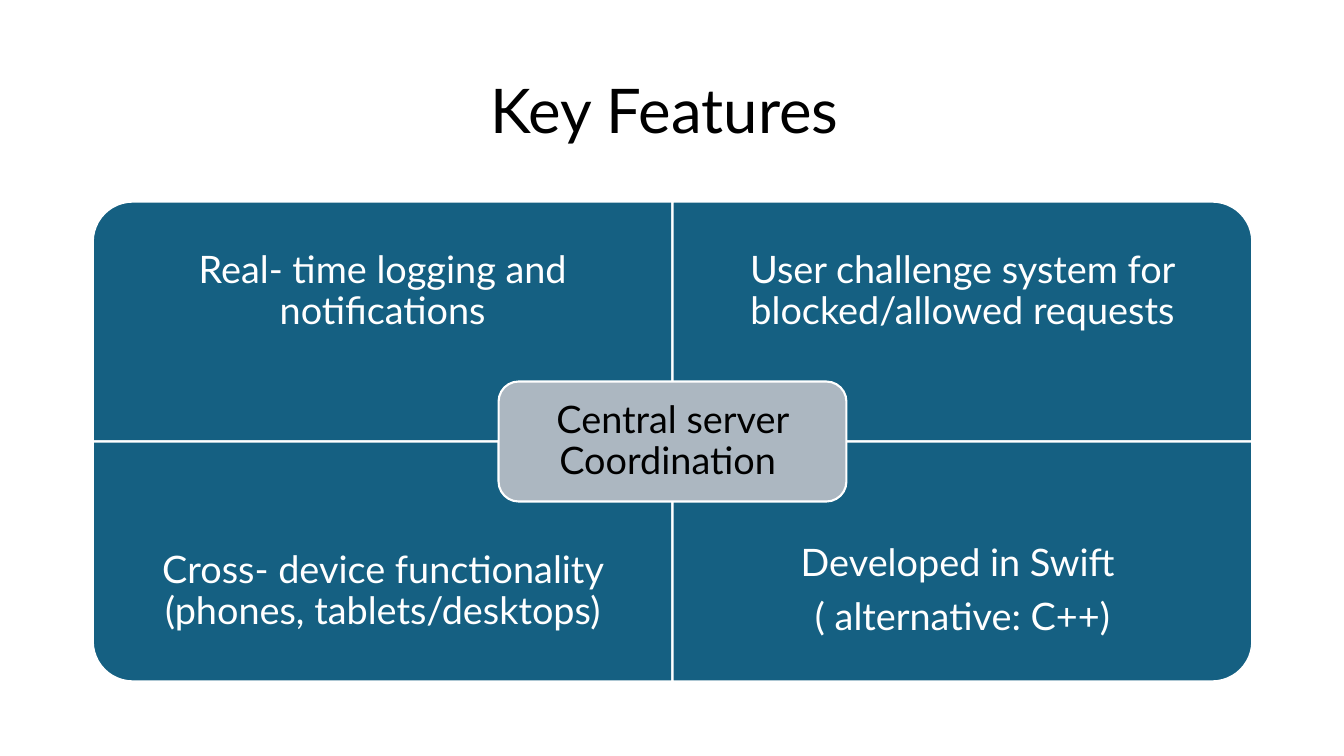
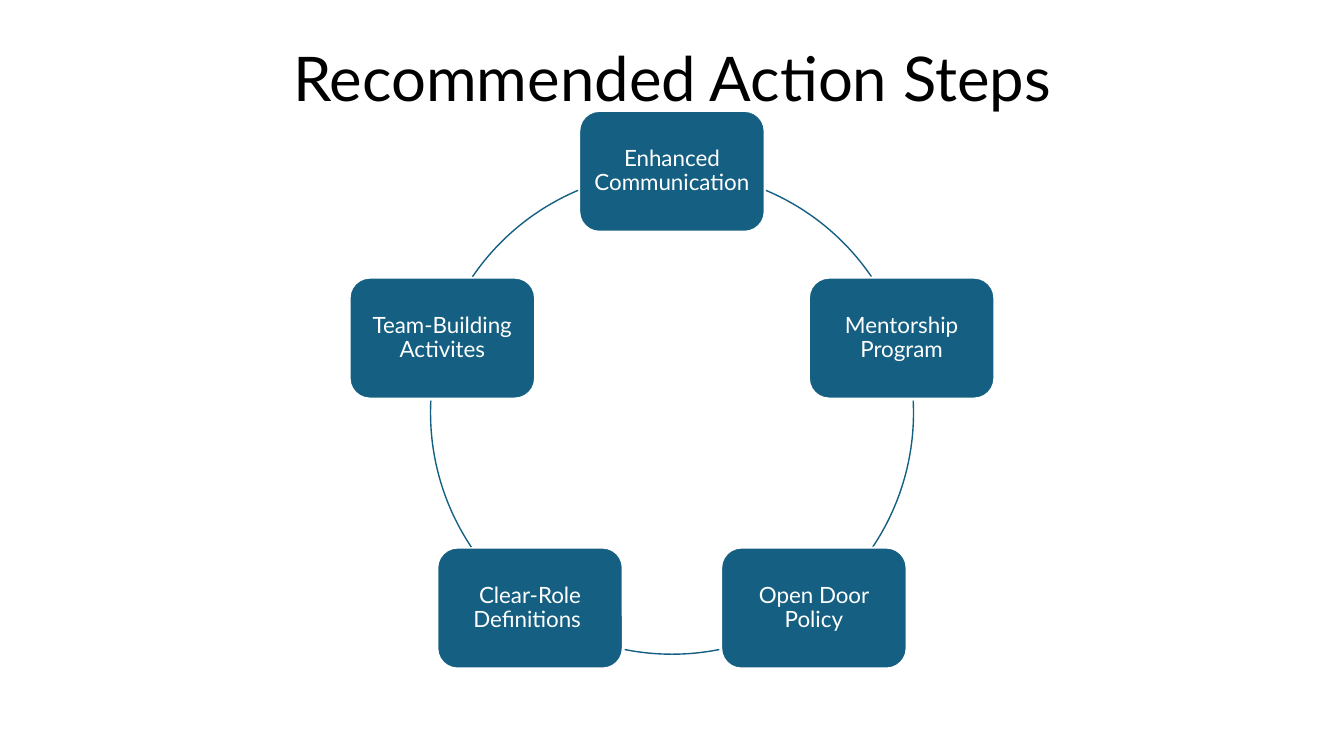
"""Build two slides: a feature matrix and a cycle of action steps."""
import math

from pptx import Presentation
from pptx.dml.color import RGBColor
from pptx.enum import shapes, text
from pptx.util import Inches, Pt

COLORS = {"teal": "156082", "grey": "ACB7C1", "white": "FFFFFF", "black": "000000"}
FONT = "Lato"
FEATURES = [
    ["Real- time logging and notifications"],
    ["User challenge system for blocked/allowed requests"],
    ["Cross- device functionality (phones, tablets/desktops)"],
    ["Developed in Swift ", "( alternative: C++)"],
]
QUADRANT_ROTATIONS = [270, 0, 180, 90]
STEPS = [
    "Enhanced Communication",
    "Mentorship Program",
    "Open Door Policy",
    "Clear-Role Definitions ",
    "Team-Building Activites",
]
ARC_ANGLES = [(292.9, 325.7), (357.1, 33.8), (78.7, 101.3), (146.2, 182.9), (214.3, 247.1)]


def color(name):
    """Return the named palette colour."""
    return RGBColor.from_string(COLORS[name])


def write(shape, lines, size, color_name, inset, space_after=0.35):
    """Fill a shape with centred paragraphs, spaced in proportion to their size."""
    frame = shape.text_frame
    frame.word_wrap = True
    frame.vertical_anchor = text.MSO_ANCHOR.MIDDLE
    frame.margin_left = frame.margin_right = Inches(inset)
    frame.margin_top = frame.margin_bottom = Inches(inset)
    for index, line in enumerate(lines):
        paragraph = frame.add_paragraph() if index else frame.paragraphs[0]
        paragraph.alignment = text.PP_ALIGN.CENTER
        paragraph.line_spacing = 0.9
        paragraph.space_after = Pt(size * space_after)
        run = paragraph.add_run()
        run.text = line
        run.font.name = FONT
        run.font.size = Pt(size)
        run.font.color.rgb = color(color_name)


def add_text(slide, box, lines, size, color_name, inset, space_after=0.35):
    """Add a text box at the given left, top, width and height."""
    shape = slide.shapes.add_textbox(*map(Inches, box))
    write(shape, lines, size, color_name, inset, space_after)


def add_block(slide, kind, box, fill):
    """Add a filled shape with a white outline."""
    shape = slide.shapes.add_shape(kind, *map(Inches, box))
    shape.shadow.inherit = False
    shape.fill.solid()
    shape.fill.fore_color.rgb = color(fill)
    shape.line.color.rgb = color("white")
    shape.line.width = Pt(1.5)
    return shape


def add_titled_slide(presentation, title, title_height):
    """Add a blank slide with a centred title."""
    slide = presentation.slides.add_slide(presentation.slide_layouts[6])
    add_text(slide, (0.92, 0.4, 11.5, title_height), [title], 44, "black", 0.05, 0)
    return slide


def add_matrix(slide, box):
    """Place four quadrants with rounded outer corners and a central label."""
    left, top, width, height = box
    cell_width, cell_height = width / 2, height / 2
    text_height = cell_height * 0.75
    for index, (lines, rotation) in enumerate(zip(FEATURES, QUADRANT_ROTATIONS)):
        row, column = divmod(index, 2)
        x, y = left + column * cell_width, top + row * cell_height
        turned = rotation % 180 == 90
        w, h = (cell_height, cell_width) if turned else (cell_width, cell_height)
        frame = (x + (cell_width - w) / 2, y + (cell_height - h) / 2, w, h)
        quadrant = add_block(slide, shapes.MSO_SHAPE.ROUND_1_RECTANGLE, frame, "teal")
        quadrant.rotation = rotation
        text_top = y + row * (cell_height - text_height)
        add_text(slide, (x, text_top, cell_width, text_height), lines, 27, "white", 0.21)
    label_width, label_height = width * 0.3, height / 4
    frame = (left + (width - label_width) / 2, top + (height - label_height) / 2,
             label_width, label_height)
    label = add_block(slide, shapes.MSO_SHAPE.ROUNDED_RECTANGLE, frame, "grey")
    write(label, ["Central server Coordination "], 27, "black", 0.11)


def add_cycle(slide, box):
    """Place the steps evenly on the circle inscribed in the box, joined by arcs."""
    left, top, diameter, _ = box
    radius = diameter / 2
    width, height = 1.84, 1.2
    for index, (step, (start, end)) in enumerate(zip(STEPS, ARC_ANGLES)):
        angle = math.radians(360 / len(STEPS) * index - 90)
        x = left + radius * (1 + math.cos(angle)) - width / 2
        y = top + radius * (1 + math.sin(angle)) - height / 2
        block = add_block(slide, shapes.MSO_SHAPE.ROUNDED_RECTANGLE, (x, y, width, height), "teal")
        write(block, [step], 16, "white", 0.07)
        arc = slide.shapes.add_shape(shapes.MSO_SHAPE.ARC, *map(Inches, box))
        arc.shadow.inherit = False
        arc.adjustments[0], arc.adjustments[1] = start * 0.6, end * 0.6
        arc.fill.background()
        arc.line.color.rgb = color("teal")
        arc.line.width = Pt(1)


def main():
    """Build and save the presentation."""
    presentation = Presentation()
    presentation.slide_width, presentation.slide_height = Inches(13.33), Inches(7.5)
    add_matrix(add_titled_slide(presentation, "Key Features ", 1.45), (0.92, 2, 11.5, 4.76))
    add_cycle(add_titled_slide(presentation, "Recommended Action Steps", 0.81),
              (4.27, 1.7, 4.79, 4.79))
    presentation.save("out.pptx")


if __name__ == "__main__":
    main()
